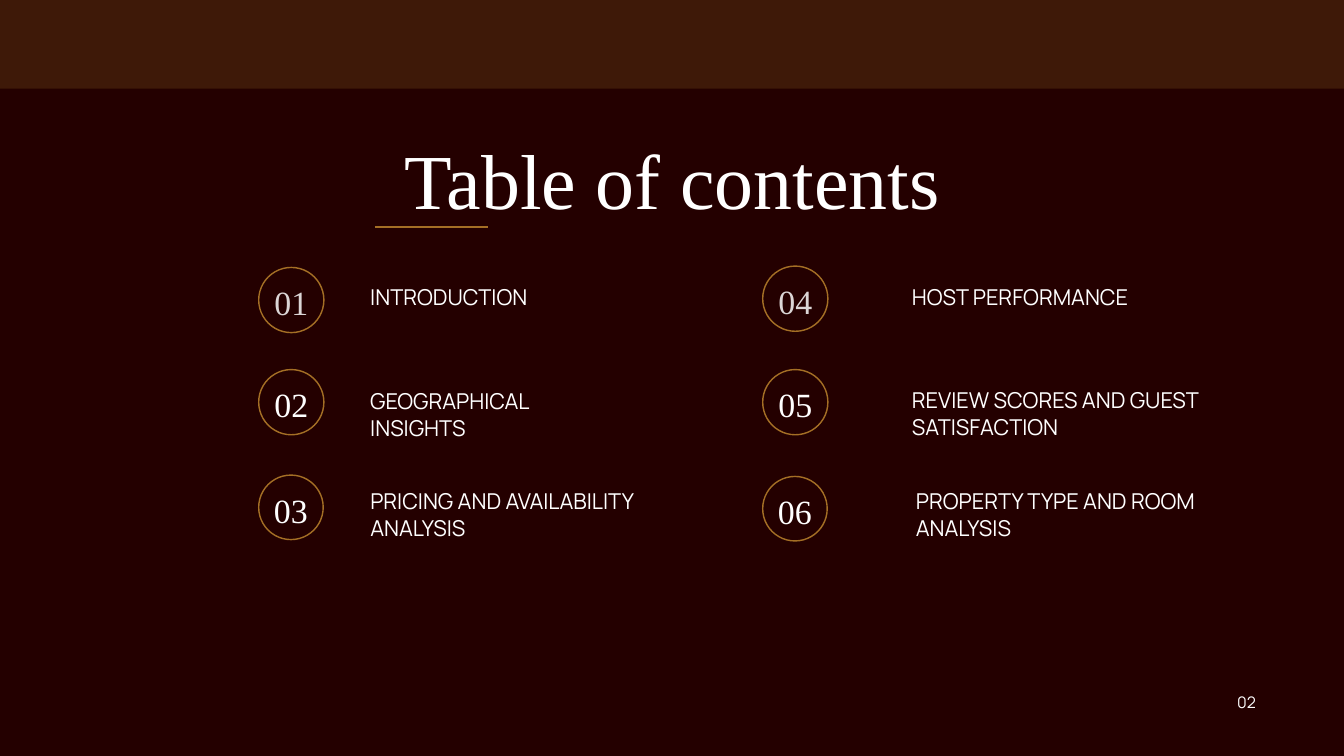
from dataclasses import dataclass

from lxml import etree
from pptx import Presentation
from pptx.dml.color import RGBColor
from pptx.enum.shapes import MSO_CONNECTOR, MSO_SHAPE
from pptx.enum.text import MSO_AUTO_SIZE, PP_ALIGN
from pptx.oxml.ns import qn
from pptx.slide import Slide
from pptx.util import Inches, Pt

OVAL = MSO_SHAPE.OVAL
RECTANGLE = MSO_SHAPE.RECTANGLE
STRAIGHT = MSO_CONNECTOR.STRAIGHT
LEFT, CENTER = PP_ALIGN.LEFT, PP_ALIGN.CENTER
FIT_SHAPE = MSO_AUTO_SIZE.SHAPE_TO_FIT_TEXT


@dataclass(frozen=True)
class TextStyle:
    font: str
    size: float
    line_spacing: float
    align: PP_ALIGN
    opacity: int = 100


@dataclass(frozen=True)
class Theme:
    background: RGBColor = RGBColor(0x24, 0x00, 0x00)
    band: RGBColor = RGBColor(0x76, 0x4F, 0x19)
    band_opacity: int = 32
    gold: RGBColor = RGBColor(0xA4, 0x6F, 0x25)
    text: RGBColor = RGBColor(0xFF, 0xFF, 0xFF)
    title: TextStyle = TextStyle("Times New Roman", 83.4, 91, CENTER)
    number: TextStyle = TextStyle("Times New Roman", 36.3, 50.8, CENTER)
    soft_number: TextStyle = TextStyle("Times New Roman", 36.3, 50.8, CENTER, 83)
    label: TextStyle = TextStyle("Manrope", 23.4, 28.6, LEFT)
    page_number: TextStyle = TextStyle("Manrope", 17, 23.8, CENTER)


@dataclass(frozen=True)
class Box:
    left: float
    top: float
    width: float
    height: float

    def lengths(self) -> tuple:
        return tuple(Inches(n) for n in (self.left, self.top, self.width, self.height))


@dataclass(frozen=True)
class Entry:
    number: str
    label: str
    circle: Box
    label_box: Box
    number_style: TextStyle


THEME = Theme()
NUMBER_OFFSET, NUMBER_HEIGHT = 0.11, 0.68

ENTRIES = (
    Entry("01", "INTRODUCTION", Box(3.85, 3.98, 0.97, 0.97),
          Box(5.51, 4.22, 3.5, 0.42), THEME.soft_number),
    Entry("02", "GEOGRAPHICAL INSIGHTS", Box(3.85, 5.5, 0.97, 0.97),
          Box(5.51, 5.76, 3.5, 0.82), THEME.number),
    Entry("03", "PRICING AND AVAILABILITY ANALYSIS", Box(3.85, 7.07, 0.96, 0.96),
          Box(5.51, 7.25, 4.82, 0.82), THEME.number),
    Entry("04", "HOST PERFORMANCE", Box(11.35, 3.96, 0.97, 0.97),
          Box(13.57, 4.22, 3.5, 0.42), THEME.soft_number),
    Entry("05", "REVIEW SCORES AND GUEST SATISFACTION", Box(11.35, 5.5, 0.97, 0.97),
          Box(13.57, 5.75, 4.67, 0.82), THEME.number),
    Entry("06", "PROPERTY TYPE AND ROOM ANALYSIS", Box(11.35, 7.09, 0.96, 0.96),
          Box(13.63, 7.25, 4.6, 0.82), THEME.number),
)


def set_opacity(element: etree._Element, percent: int) -> None:
    """Make the first solid colour inside the element partly transparent."""
    color = next(element.iter(qn("a:srgbClr")))
    etree.SubElement(color, qn("a:alpha"), val=str(percent * 1000))


def add_text(slide: Slide, text: str, box: Box, style: TextStyle) -> None:
    text_frame = slide.shapes.add_textbox(*box.lengths()).text_frame
    text_frame.margin_left = text_frame.margin_right = 0
    text_frame.margin_top = text_frame.margin_bottom = 0
    text_frame.word_wrap = True
    text_frame.auto_size = FIT_SHAPE
    text_frame.text = text
    paragraph = text_frame.paragraphs[0]
    paragraph.alignment = style.align
    paragraph.line_spacing = Pt(style.line_spacing)
    run = paragraph.runs[0]
    run.font.name = style.font
    run.font.size = Pt(style.size)
    run.font.color.rgb = THEME.text
    if style.opacity < 100:
        set_opacity(run._r, style.opacity)


def add_band(slide: Slide, box: Box) -> None:
    band = slide.shapes.add_shape(RECTANGLE, *box.lengths())
    band.shadow.inherit = False
    band.fill.solid()
    band.fill.fore_color.rgb = THEME.band
    band.line.fill.background()
    set_opacity(band._element.spPr, THEME.band_opacity)


def add_circle(slide: Slide, box: Box) -> None:
    circle = slide.shapes.add_shape(OVAL, *box.lengths())
    circle.shadow.inherit = False
    circle.fill.background()
    circle.line.color.rgb = THEME.gold
    circle.line.width = Pt(1.5)


def add_rule(slide: Slide, left: float, right: float, top: float) -> None:
    rule = slide.shapes.add_connector(
        STRAIGHT, Inches(left), Inches(top), Inches(right), Inches(top))
    rule.line.color.rgb = THEME.gold
    rule.line.width = Pt(2.25)
    etree.SubElement(rule._element.spPr, qn("a:effectLst"))


def add_entry(slide: Slide, entry: Entry) -> None:
    circle = entry.circle
    number_box = Box(circle.left, circle.top + NUMBER_OFFSET, circle.width, NUMBER_HEIGHT)
    add_circle(slide, circle)
    add_text(slide, entry.number, number_box, entry.number_style)
    add_text(slide, entry.label, entry.label_box, THEME.label)


def main() -> None:
    presentation = Presentation()
    presentation.slide_width = Inches(20)
    presentation.slide_height = Inches(11.25)
    slide = presentation.slides.add_slide(presentation.slide_layouts[6])
    slide.background.fill.solid()
    slide.background.fill.fore_color.rgb = THEME.background

    add_band(slide, Box(0, 0, 20, 1.32))
    add_text(slide, "Table of contents", Box(5.38, 2.08, 9.25, 1.28), THEME.title)
    add_rule(slide, 5.58, 7.26, 3.38)
    for entry in ENTRIES:
        add_entry(slide, entry)
    add_text(slide, "02", Box(18.23, 10.26, 0.64, 0.34), THEME.page_number)

    presentation.save("out.pptx")


if __name__ == "__main__":
    main()
